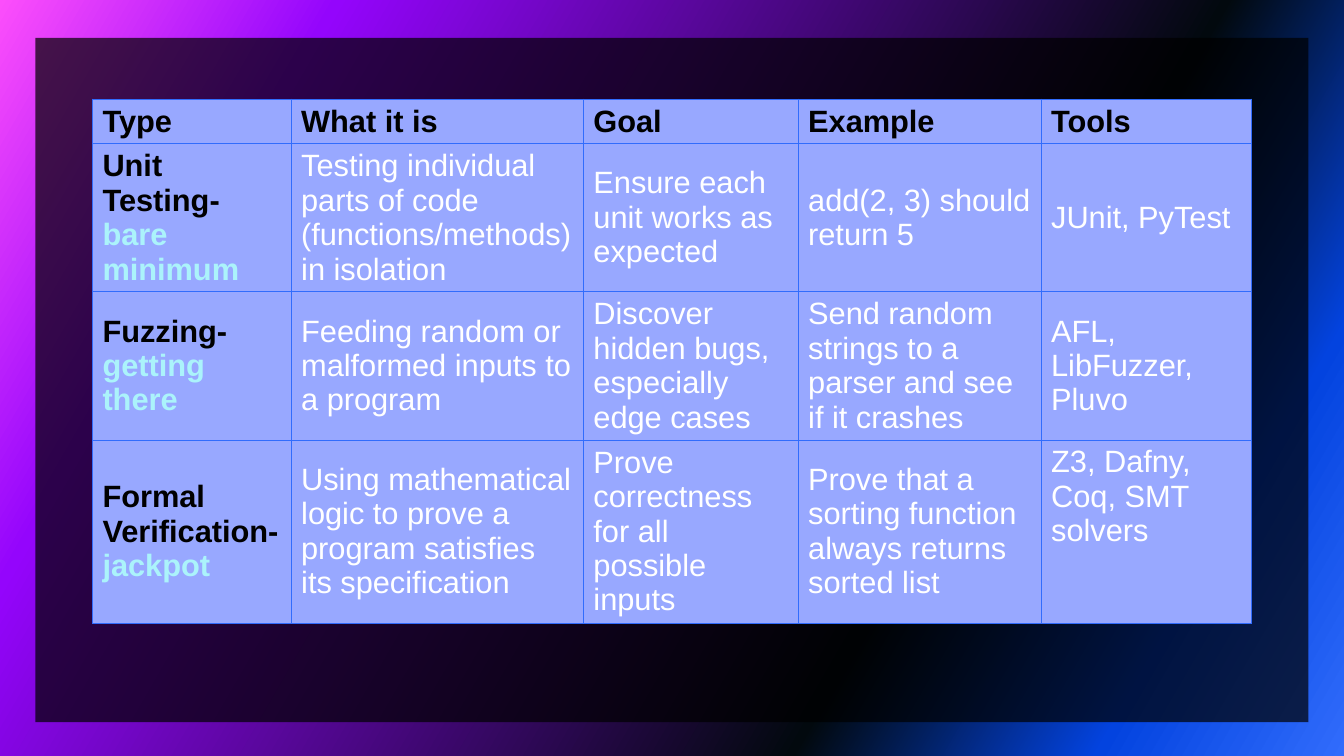
from dataclasses import dataclass

from lxml import etree
from pptx import Presentation
from pptx.dml.color import RGBColor
from pptx.enum.shapes import MSO_SHAPE
from pptx.enum.text import MSO_ANCHOR
from pptx.oxml.ns import qn
from pptx.util import Emu, Inches, Pt

RECT = MSO_SHAPE.RECTANGLE
MIDDLE, TOP = MSO_ANCHOR.MIDDLE, MSO_ANCHOR.TOP

WIDE, HIGH = Inches(13.333), Inches(7.5)
FONT, SIZE = "Arial", 22
BLACK, WHITE, AQUA = "000000", "FFFFFF", "ABF3FB"
CELL, EDGE = "98A8FF", "316CFC"
STOPS = [(0, "316CFC"), (14, "0343DF"), (31, "02090E"),
         (81, "9405FC"), (100, "FC4EFB")]

# Column and row sizes, in percent of the slide's width and height
COLS = [14.78, 21.75, 15.98, 18.08, 15.68]
ROWS = [5.8, 19.6, 19.6, 24.2]
HEADS = ["Type", "What it is", "Goal", "Example", "Tools"]


@dataclass
class Method:
    name: str
    tag: str
    facts: list[str]
    last: MSO_ANCHOR = MIDDLE


METHODS = [
    Method("Unit Testing- ", "bare minimum", [
        "Testing individual parts of code (functions/methods) in isolation",
        "Ensure each unit works as expected",
        "add(2, 3) should return 5",
        "JUnit, PyTest"]),
    Method("Fuzzing- ", "getting there", [
        "Feeding random or malformed inputs to a program",
        "Discover hidden bugs, especially edge cases",
        "Send random strings to a parser and see if it crashes",
        "AFL, LibFuzzer, Pluvo"]),
    Method("Formal Verification- ", "jackpot", [
        "Using mathematical logic to prove a program satisfies "
        "its specification",
        "Prove correctness for all possible inputs",
        "Prove that a sorting function always returns sorted list",
        "Z3, Dafny, Coq, SMT solvers"], TOP),
]


def across(share: float) -> Emu:
    return Emu(round(WIDE * share / 100))


def down(share: float) -> Emu:
    return Emu(round(HIGH * share / 100))


def paint(fill, tone: str) -> None:
    fill.solid()
    fill.fore_color.rgb = RGBColor.from_string(tone)


def style(run, tone: str, bold: bool) -> None:
    font = run.font
    font.name, font.size, font.bold = FONT, Pt(SIZE), bold
    font.color.rgb = RGBColor.from_string(tone)


def border(cell) -> None:
    props = cell._tc.get_or_add_tcPr()
    for i, side in enumerate(("lnL", "lnR", "lnT", "lnB")):
        line = etree.Element(qn(f"a:{side}"), w=str(Pt(0.5)))
        fill = etree.SubElement(line, qn("a:solidFill"))
        etree.SubElement(fill, qn("a:srgbClr"), val=EDGE)
        props.insert(i, line)


def write(cell, text: str, tone: str, bold: bool, tag: str = "",
          anchor: MSO_ANCHOR = MIDDLE) -> None:
    paint(cell.fill, CELL)
    border(cell)
    cell.vertical_anchor = anchor
    para = cell.text_frame.paragraphs[0]
    para.text = text
    style(para.runs[0], tone, bold)
    if tag:
        run = para.add_run()
        run.text = tag
        style(run, AQUA, bold)


def backdrop(slide) -> None:
    fill = slide.background.fill
    fill.gradient()
    fill.gradient_angle = 150
    stops = slide.element.find(".//" + qn("a:gsLst"))
    for old in list(stops):
        stops.remove(old)
    for share, tone in STOPS:
        stop = etree.SubElement(stops, qn("a:gs"), pos=str(share * 1000))
        etree.SubElement(stop, qn("a:srgbClr"), val=tone)


def panel(slide) -> None:
    box = slide.shapes.add_shape(
        RECT, across(2.64), down(5.03), across(94.72), down(90.5))
    box.shadow.inherit = False
    box.line.fill.background()
    paint(box.fill, BLACK)
    tone = box.fill._xPr.find(".//" + qn("a:srgbClr"))
    etree.SubElement(tone, qn("a:alpha"), val="70000")


def grid(slide) -> None:
    table = slide.shapes.add_table(
        len(ROWS), len(COLS), across(6.88), down(13.1),
        across(sum(COLS)), down(sum(ROWS))).table
    table.horz_banding = False
    for col, share in zip(table.columns, COLS):
        col.width = across(share)
    for row, share in zip(table.rows, ROWS):
        row.height = down(share)

    for c, head in enumerate(HEADS):
        write(table.cell(0, c), head, BLACK, True)
    for r, item in enumerate(METHODS, 1):
        write(table.cell(r, 0), item.name, BLACK, True, item.tag)
        for c, fact in enumerate(item.facts, 1):
            anchor = item.last if c == len(item.facts) else MIDDLE
            write(table.cell(r, c), fact, WHITE, False, anchor=anchor)


def main() -> None:
    deck = Presentation()
    deck.slide_width, deck.slide_height = WIDE, HIGH
    slide = deck.slides.add_slide(deck.slide_layouts[6])
    backdrop(slide)
    panel(slide)
    grid(slide)
    deck.save("out.pptx")


if __name__ == "__main__":
    main()
